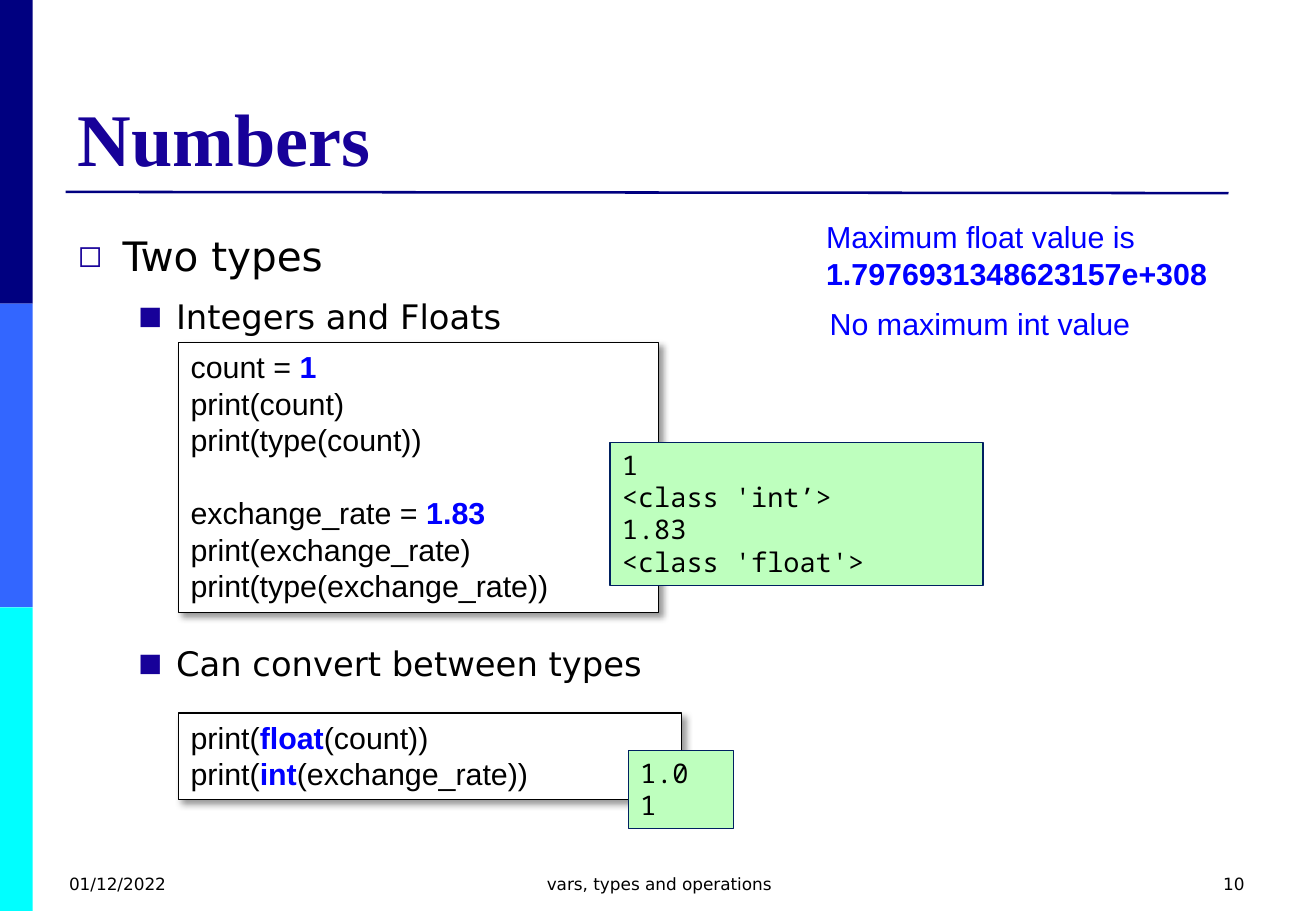
from lxml import etree
from pptx import Presentation
from pptx.dml.color import RGBColor
from pptx.enum import shapes, text
from pptx.oxml import parse_xml
from pptx.oxml.ns import nsdecls, qn
from pptx.util import Inches, Pt

NAVY = RGBColor(0x00, 0x00, 0x80)
ROYAL = RGBColor(0x33, 0x66, 0xFF)
CYAN = RGBColor(0x00, 0xFF, 0xFF)
INDIGO = RGBColor(0x17, 0x01, 0x99)
BLUE = RGBColor(0x00, 0x00, 0xFF)
BLACK = RGBColor(0x00, 0x00, 0x00)
WHITE = RGBColor(0xFF, 0xFF, 0xFF)
MINT = RGBColor(0xBE, 0xFF, 0xBE)
DARK_BLUE = RGBColor(0x00, 0x20, 0x60)

TITLE_FONT = dict(name="Times New Roman", size=Pt(44), bold=True)
BODY_FONT = dict(name="DejaVu Sans")
FOOTER_FONT = dict(name="DejaVu Sans", size=Pt(10))
CODE_FONT = dict(name="Arial", size=Pt(18))
OUTPUT_FONT = dict(name="Noto Sans Mono", size=Pt(16))
CODE_LINE = Pt(21.7)


def set_all(target, values):
    for key, value in values.items():
        setattr(target, key, value)


def write(paragraph, line, font, color=BLACK):
    """Write one line; the parts between asterisks are bold blue."""
    for i, part in enumerate(line.split("*")):
        if part:
            run = paragraph.add_run()
            run.text = part
            set_all(run.font, font)
            run.font.color.rgb = BLUE if i % 2 else color
            if i % 2:
                run.font.bold = True


def add_text(slide, box, lines, font, color=BLACK, align=text.PP_ALIGN.LEFT,
             anchor=text.MSO_ANCHOR.TOP):
    frame = slide.shapes.add_textbox(*map(Inches, box)).text_frame
    set_all(frame, dict(word_wrap=True, vertical_anchor=anchor))
    for i, line in enumerate(lines):
        paragraph = frame.add_paragraph() if i else frame.paragraphs[0]
        paragraph.alignment = align
        write(paragraph, line, font, color)
    return frame


def add_rect(slide, box, fill):
    rect = slide.shapes.add_shape(shapes.MSO_SHAPE.RECTANGLE, *map(Inches, box))
    rect.shadow.inherit = False
    rect.fill.solid()
    rect.fill.fore_color.rgb = fill
    rect.line.fill.background()
    return rect


def add_panel(slide, box, blocks, font, fill, border):
    """Bordered box of lines; blocks are set apart by one line."""
    panel = add_rect(slide, box, fill)
    panel.line.color.rgb = border
    panel.line.width = Pt(0.75)
    frame = panel.text_frame
    set_all(frame, dict(word_wrap=True, vertical_anchor=text.MSO_ANCHOR.TOP))
    for b, block in enumerate(blocks):
        for i, line in enumerate(block):
            paragraph = frame.add_paragraph() if b or i else frame.paragraphs[0]
            paragraph.alignment = text.PP_ALIGN.LEFT
            if b and not i:
                paragraph.space_before = CODE_LINE
            write(paragraph, line, font)
    return panel


def add_code(slide, box, blocks):
    panel = add_panel(slide, box, blocks, CODE_FONT, WHITE, BLACK)
    effects = panel._element.spPr.find(qn("a:effectLst"))
    effects.append(parse_xml(
        f'<a:outerShdw {nsdecls("a")} blurRad="{Pt(4)}" dist="{Pt(3)}" '
        'dir="2700000" algn="tl" rotWithShape="0"><a:srgbClr val="000000">'
        '<a:alpha val="40000"/></a:srgbClr></a:outerShdw>'))


def add_output(slide, box, lines):
    add_panel(slide, box, [lines], OUTPUT_FONT, MINT, DARK_BLUE)


def add_bullet(paragraph, mark, margin, hanging):
    props = paragraph._p.get_or_add_pPr()
    props.set("marL", str(Inches(margin)))
    props.set("indent", str(-Inches(hanging)))
    color = etree.SubElement(props, qn("a:buClr"))
    etree.SubElement(color, qn("a:srgbClr"), val=str(INDIGO))
    etree.SubElement(props, qn("a:buSzPct"), val="75000")
    etree.SubElement(props, qn("a:buFont"), typeface="DejaVu Sans")
    etree.SubElement(props, qn("a:buChar"), char=mark)


def add_side_bands(slide, left, top, width, height):
    band = height / 3
    for i, color in enumerate((NAVY, ROYAL, CYAN)):
        add_rect(slide, (left, top + i * band, width, band), color)


def add_title(slide, left, top, width, height):
    add_text(slide, (left, top, width, height), ["Numbers"], TITLE_FONT, INDIGO,
             anchor=text.MSO_ANCHOR.BOTTOM)
    rule_y = top + height + 0.04
    rule = slide.shapes.add_connector(
        shapes.MSO_CONNECTOR.STRAIGHT, Inches(left), Inches(rule_y),
        Inches(left + 9.57), Inches(rule_y + 0.01))
    rule.line.color.rgb = NAVY
    rule.line.width = Pt(1.5)
    etree.SubElement(rule._element.spPr, qn("a:effectLst"))


def add_outline(slide, left, top, width, height):
    # text, level, size, line spacing, space before
    points = [("Two types", 0, 24, 1.25, 0),
              ("Integers and Floats", 1, 20, 1.15, 6),
              ("Can convert between types", 1, 20, 1.15, 178)]
    levels = [("◻", 0.37, 0.37), ("■", 0.81, 0.31)]
    frame = add_text(slide, (left, top, width, height), [""] * len(points), BODY_FONT)
    for paragraph, (point, level, size, spacing, before) in zip(frame.paragraphs, points):
        add_bullet(paragraph, *levels[level])
        set_all(paragraph, dict(level=level, line_spacing=spacing, space_before=Pt(before)))
        write(paragraph, point, dict(BODY_FONT, size=Pt(size)))


def add_examples(slide, left, top):
    # Types of numbers
    add_code(slide, (left, top, 3.95, 2.22), [
        ["count = *1*", "print(count)", "print(type(count))"],
        ["exchange_rate = *1.83*", "print(exchange_rate)", "print(type(exchange_rate))"]])
    add_output(slide, (left + 3.55, top + 0.82, 3.07, 1.18),
               ["1", "<class 'int’>", "1.83", "<class 'float'>"])
    # Conversion
    add_code(slide, (left, top + 3.05, 4.14, 0.71),
             [["print(*float*(count))", "print(*int*(exchange_rate))"]])
    add_output(slide, (left + 3.7, top + 3.36, 0.87, 0.64), ["1.0", "1"])


def add_limits(slide, left, top):
    add_text(slide, (left, top, 3.63, 0.71),
             ["Maximum float value is *1.7976931348623157e+308*"], CODE_FONT, BLUE)
    add_text(slide, (left + 0.03, top + 0.71, 2.79, 0.4),
             ["No maximum int value"], CODE_FONT, BLUE)


def add_footer(slide, top, height):
    align = text.PP_ALIGN
    for left, width, label, side in (
            (0.47, 2.53, "01/12/2022", align.LEFT),
            (3.71, 3.43, "vars, types and operations", align.CENTER),
            (7.81, 2.53, "10", align.RIGHT)):
        add_text(slide, (left, top, width, height), [label], FOOTER_FONT, align=side)


def main():
    deck = Presentation()
    set_all(deck, dict(slide_width=Inches(10.83), slide_height=Inches(7.5)))
    slide = deck.slides.add_slide(deck.slide_layouts[6])
    add_side_bands(slide, 0, 0, 0.27, 7.5)
    add_title(slide, 0.54, 0.3, 9.75, 1.24)
    add_outline(slide, 0.54, 1.75, 9.75, 4.95)
    add_footer(slide, 7.14, 0.36)
    add_examples(slide, 1.47, 2.82)
    add_limits(slide, 6.7, 1.75)
    deck.save("out.pptx")


if __name__ == "__main__":
    main()
